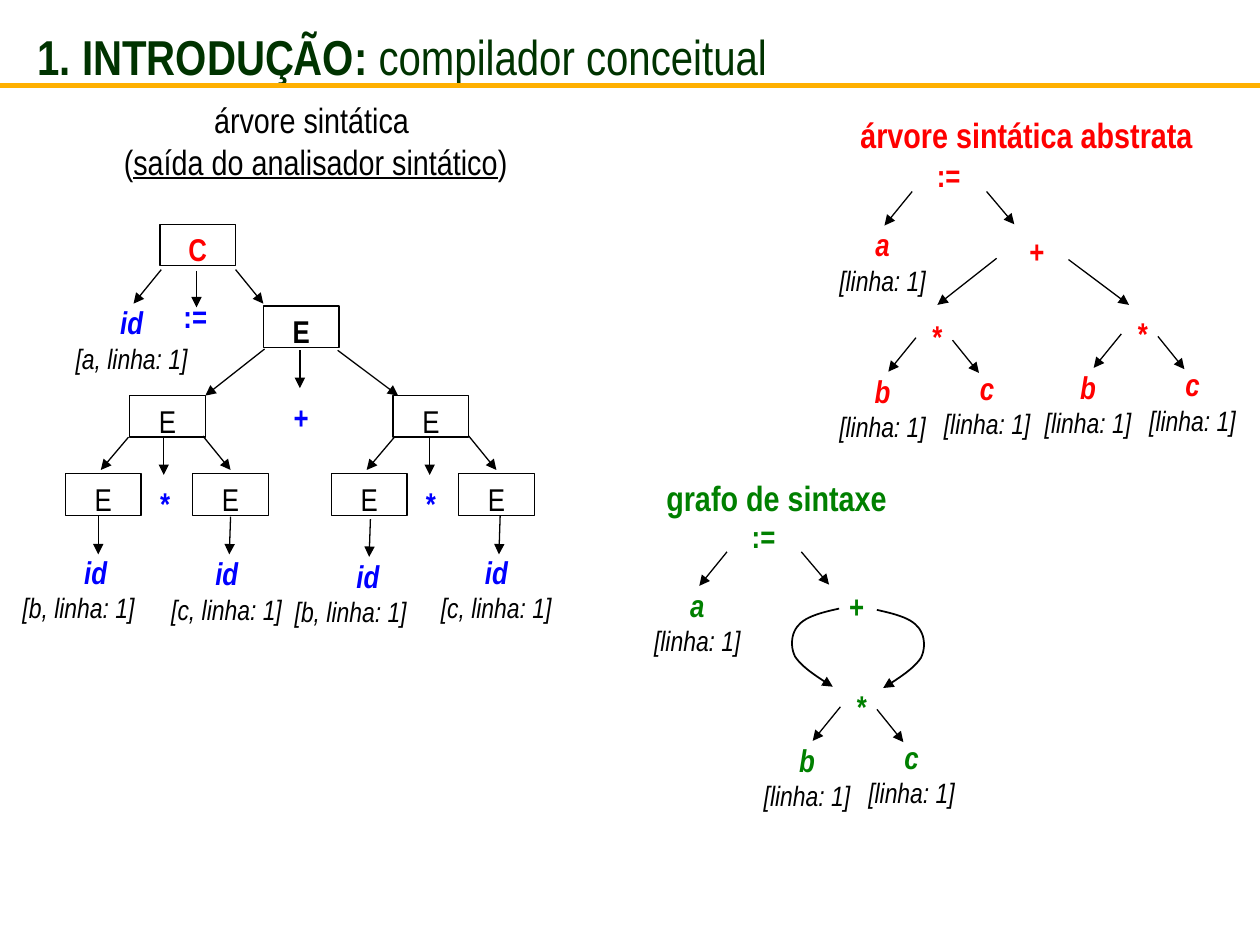
"""Build the slide on concrete, abstract and shared syntax trees."""
from typing import NamedTuple

from lxml.etree import SubElement
from pptx import Presentation
from pptx.dml.color import RGBColor
from pptx.enum.shapes import MSO_CONNECTOR, MSO_SHAPE
from pptx.enum.text import MSO_ANCHOR, PP_ALIGN
from pptx.oxml.ns import qn
from pptx.util import Cm, Pt

COLORS = {"black": "000000", "white": "FFFFFF", "red": "FF0000", "blue": "0000FF",
          "green": "008000", "dark": "003300", "amber": "FFB000"}
BOLD = {"bold": True}
ITALIC = {"italic": True}
BOLD_ITALIC = {"bold": True, "italic": True}
UNDERLINE = {"underline": True}


class Run(NamedTuple):
    text: str
    color: str = "black"
    size: float = 18
    style: dict = {}


class Para(NamedTuple):
    runs: list[Run]
    align: PP_ALIGN = PP_ALIGN.CENTER
    indent: float = 0


class Arrow(NamedTuple):
    x1: float
    y1: float
    x2: float
    y2: float


class Node(NamedTuple):
    x: float
    y: float
    color: str = "black"
    style: dict = {}
    name: str = "E"


class Token(NamedTuple):
    x: float
    y: float
    name: str
    indent: float


STAR_ARROWS = [Arrow(0.49, 0.23, 0.7, 0.49), Arrow(0.2, 0.21, -0.02, 0.48)]
ASSIGN_ARROWS = [Arrow(0.67, 0.33, 0.89, 0.59), Arrow(0.08, 0.33, -0.14, 0.6)]
PRODUCT_ARROWS = [Arrow(0.67, -0.33, 0.89, -0.06), Arrow(0.08, -0.32, -0.14, -0.06),
                  Arrow(0.36, -0.32, 0.36, -0.02)]
ROOT_ARROWS = [Arrow(1.87, 2.14, 2.09, 2.41), Arrow(1.28, 2.14, 1.06, 2.41),
               Arrow(1.56, 2.15, 1.56, 2.44), Arrow(2.1, 2.77, 1.63, 3.14),
               Arrow(2.38, 2.78, 2.38, 3.08), Arrow(2.68, 2.78, 3.16, 3.14)]
TOKEN_ARROWS = [Arrow(0.78, 4.09, 0.78, 4.4), Arrow(1.83, 4.1, 1.82, 4.4),
                Arrow(2.94, 4.12, 2.93, 4.42), Arrow(3.97, 4.09, 3.96, 4.4)]
SUM_ARROWS = [Arrow(7.91, 2.05, 7.44, 2.42), Arrow(8.48, 2.06, 8.96, 2.42)]
NODES = [Node(1.27, 1.78, "red", BOLD, "C"), Node(2.09, 2.43, style=BOLD),
         Node(1.03, 3.14), Node(3.12, 3.14)]
TOKENS = [Token(0.08, 4.34, "b", 0), Token(1.12, 4.35, "c", 0.14),
          Token(2.24, 4.37, "b", 0), Token(3.26, 4.34, "c", 0.14)]
SHARED_EDGE = [(6.66, 4.83), (6.53, 4.86), (6.4, 4.89), (6.34, 4.96), (6.28, 5.02),
               (6.27, 5.13), (6.31, 5.21), (6.36, 5.29), (6.48, 5.37), (6.61, 5.45)]
MIRROR = 13.62


def length(inches: float) -> int:
    return Cm(inches * 2.54)


def rgb(color: str) -> RGBColor:
    return RGBColor.from_string(COLORS[color])


def write(s, paras: list[Para], anchor: MSO_ANCHOR = MSO_ANCHOR.TOP) -> None:
    tf = s.text_frame
    tf.word_wrap = True
    tf.vertical_anchor = anchor
    for i, para in enumerate(paras):
        p = tf.add_paragraph() if i else tf.paragraphs[0]
        p.alignment = para.align
        if para.indent:
            p._p.get_or_add_pPr().set("marL", str(length(para.indent)))
        for run in para.runs:
            r = p.add_run()
            r.text = run.text
            fmt = {"name": "Arial Narrow", "size": Pt(run.size), **run.style}
            for key, value in fmt.items():
                setattr(r.font, key, value)
            r.font.color.rgb = rgb(run.color)


def add_text(x: float, y: float, w: float, h: float, paras: list[Para],
             anchor: MSO_ANCHOR = MSO_ANCHOR.TOP) -> None:
    write(shapes.add_textbox(*map(length, (x, y, w, h))), paras, anchor)


def add_heading(x: float, y: float, w: float, h: float, runs: list[Run]) -> None:
    add_text(x, y, w, h, [Para(runs, PP_ALIGN.LEFT)], MSO_ANCHOR.MIDDLE)


def add_operator(x: float, y: float, name: str, color: str) -> None:
    add_text(x, y, 0.74, 0.32, [Para([Run(name, color, style=BOLD)])])


def add_leaf(x: float, y: float, name: str, color: str, note: str = "[linha: 1]") -> None:
    add_text(x, y, 1.17, 0.7, [Para([Run(name, color, style=BOLD_ITALIC)]),
                               Para([Run(note, size=16, style=ITALIC)])])


def add_token(token: Token) -> None:
    add_text(token.x, token.y, 1.25, 0.64, [
        Para([Run("id", "blue", style=BOLD_ITALIC)], PP_ALIGN.LEFT, 0.49),
        Para([Run(f"[{token.name}, linha: 1]", size=16, style=ITALIC)],
             PP_ALIGN.LEFT, token.indent)])


def add_node(node: Node) -> None:
    s = shapes.add_shape(MSO_SHAPE.RECTANGLE, *map(length, (node.x, node.y, 0.6, 0.33)))
    s.shadow.inherit = False
    s.fill.solid()
    s.fill.fore_color.rgb = rgb("white")
    s.line.color.rgb = rgb("black")
    s.line.width = Pt(0.75)
    write(s, [Para([Run(node.name, node.color, style=node.style)])])


def add_line(line: Arrow, color: str = "black", width: float = 0.75, head: bool = True) -> None:
    s = shapes.add_connector(MSO_CONNECTOR.STRAIGHT, *map(length, line))
    s.line.color.rgb = rgb(color)
    s.line.width = Pt(width)
    if head:
        SubElement(s.line._get_or_add_ln(), qn("a:tailEnd"), type="triangle")
    SubElement(s._element.spPr, qn("a:effectLst"))


def add_arrows(arrows: list[Arrow], x: float = 0, y: float = 0) -> None:
    for a in arrows:
        add_line(Arrow(a.x1 + x, a.y1 + y, a.x2 + x, a.y2 + y))


def add_curve(points: list[tuple[float, float]], steps: int = 12) -> None:
    track = []
    for i in range(0, len(points) - 1, 3):
        for t in (k / steps for k in range(1, steps + 1)):
            weights = ((1 - t) ** 3, 3 * t * (1 - t) ** 2, 3 * t * t * (1 - t), t ** 3)
            track.append(tuple(length(sum(w * p[axis] for w, p in zip(weights, points[i:i + 4])))
                               for axis in (0, 1)))
    fb = shapes.build_freeform(*map(length, points[0]))
    fb.add_line_segments(track, close=False)
    s = fb.convert_to_shape()
    s.shadow.inherit = False
    s.fill.background()
    s.line.color.rgb = rgb("black")
    s.line.width = Pt(1)
    SubElement(s.line._get_or_add_ln(), qn("a:tailEnd"), type="triangle")


def add_star(x: float, y: float, color: str) -> None:
    add_operator(x, y, "*", color)
    add_arrows(STAR_ARROWS, x, y)
    add_leaf(x - 0.65, y + 0.43, "b", color)
    add_leaf(x + 0.18, y + 0.41, "c", color)


def add_assignment(x: float, y: float, color: str) -> None:
    add_arrows(ASSIGN_ARROWS, x, y)
    add_operator(x, y, ":=", color)
    add_leaf(x - 0.74, y + 0.55, "a", color)


def add_product(x: float, y: float) -> None:
    add_arrows(PRODUCT_ARROWS, x, y)
    for dx in (-0.42, 0.59):
        add_node(Node(x + dx, y - 0.03))
    add_operator(x, y, "*", "blue")


prs = Presentation()
prs.slide_width, prs.slide_height = Cm(25.4), Cm(19.05)
shapes = prs.slides.add_slide(prs.slide_layouts[6]).shapes

add_text(0.86, 0.73, 3.29, 0.77, [
    Para([Run("árvore sintática ", size=20)]),
    Para([Run("(", size=20), Run("saída do analisador sintático", size=20, style=UNDERLINE),
          Run(")", size=20)])], MSO_ANCHOR.MIDDLE)
add_arrows(ROOT_ARROWS + TOKEN_ARROWS)
for node in NODES:
    add_node(node)
add_operator(1.18, 2.31, ":=", "blue")
add_leaf(0.46, 2.36, "id", "blue", "[a, linha: 1]")
add_operator(2.02, 3.11, "+", "blue")
for x in (0.94, 3.05):
    add_product(x, 3.79)
for token in TOKENS:
    add_token(token)

add_heading(6.73, 0.85, 3.07, 0.44, [Run("árvore sintática abstrata", "red", 20, BOLD)])
add_assignment(7.16, 1.19, "red")
add_operator(7.86, 1.79, "+", "red")
add_arrows(SUM_ARROWS)
add_star(7.07, 2.47, "red")
add_star(8.7, 2.44, "red")

add_heading(5.19, 3.73, 1.96, 0.44, [Run("grafo de sintaxe", "green", 20, BOLD)])
add_assignment(5.69, 4.05, "green")
add_operator(6.43, 4.61, "+", "green")
add_curve(SHARED_EDGE)
add_curve([(MIRROR - x, y + 0.01) for x, y in SHARED_EDGE])
add_star(6.47, 5.4, "green")

add_heading(0.2, 0.11, 9.59, 0.67, [Run("1. INTRODUÇÃO: ", "dark", 28, BOLD),
                                    Run("compilador conceitual", "dark", 28)])
add_line(Arrow(0, 0.68, 10, 0.68), "amber", 3, head=False)
prs.save("out.pptx")
